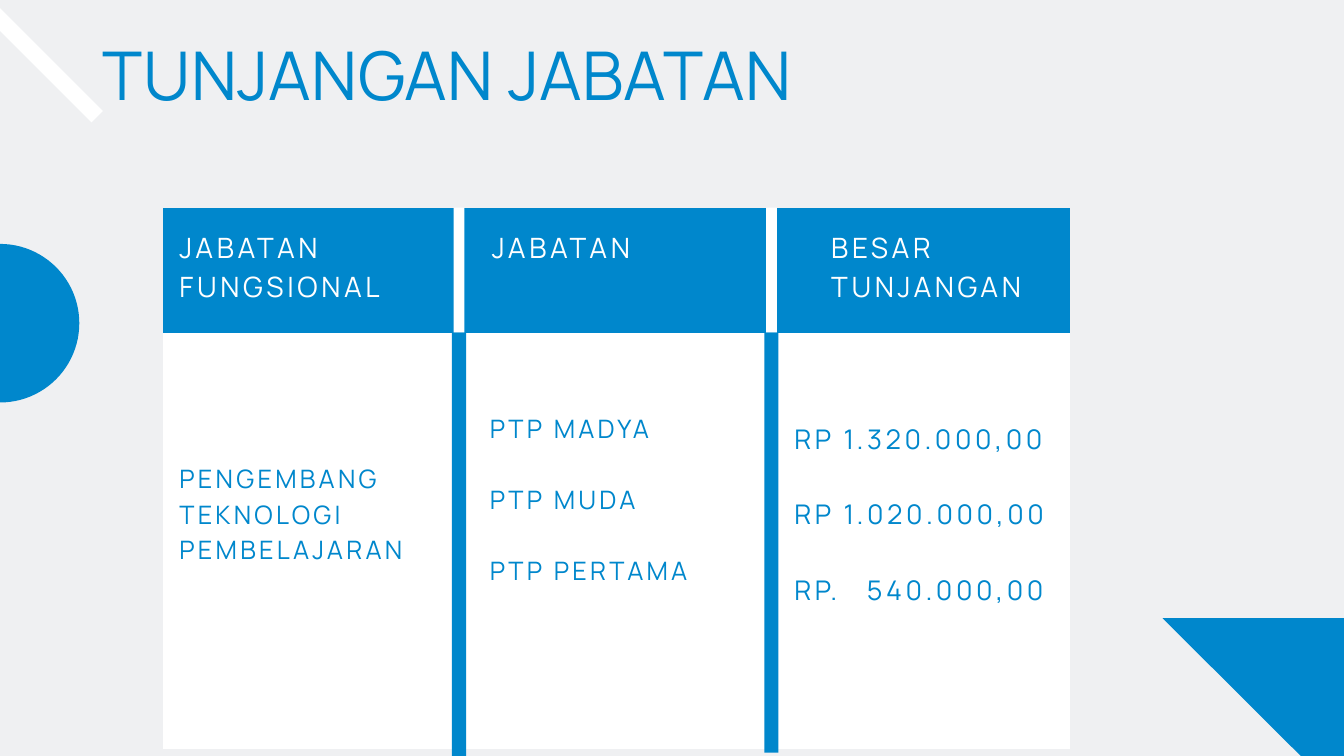
from lxml import etree
from pptx import Presentation
from pptx.dml.color import RGBColor
from pptx.enum.shapes import MSO_SHAPE
from pptx.enum.text import MSO_ANCHOR
from pptx.oxml.ns import qn
from pptx.util import Inches, Pt

RECTANGLE, OVAL = MSO_SHAPE.RECTANGLE, MSO_SHAPE.OVAL
TOP = MSO_ANCHOR.TOP

BLUE = RGBColor(0x00, 0x87, 0xCC)
WHITE = RGBColor(0xFF, 0xFF, 0xFF)
PALE_GREY = RGBColor(0xEF, 0xF0, 0xF2)
FONT = "Manrope"
PLAIN_TABLE_STYLE = "{2D5ABB26-0587-4C30-8999-92F81FD0307C}"

# Text styles: size, line spacing, letter spacing (points)
TITLE_STYLE = (72, 79.2, 0.7)
HEADER_STYLE = (30, 42, 3.9)
POSITION_STYLE = (27.2, 38, 3.5)
AMOUNT_STYLE = (29, 40.6, 3.8)

# Columns: width, then (lines, left margin, top margin, style, gap) for each row
COLUMNS = [
    (4.4,
     (["JABATAN", "FUNGSIONAL"], 0.24, 0.3, HEADER_STYLE, 0),
     (["PENGEMBANG", "TEKNOLOGI", "PEMBELAJARAN"], 0.24, 1.91, POSITION_STYLE, 0)),
    (4.65,
     (["JABATAN"], 0.49, 0.3, HEADER_STYLE, 0),
     (["PTP MADYA", "PTP MUDA", "PTP PERTAMA"], 0.46, 1.16, POSITION_STYLE, 38)),
    (4.44,
     (["BESAR", "TUNJANGAN"], 0.89, 0.3, HEADER_STYLE, 0),
     (["RP 1.320.000,00", "RP 1.020.000,00", "RP.\t540.000,00"],
      0.34, 1.29, AMOUNT_STYLE, 40.6)),
]
AMOUNT_TAB = 1.08
HEADER_HEIGHT, BODY_HEIGHT = 1.86, 6.19
HEADER_DIVIDER, BODY_DIVIDER = 0.16, 0.21
BODY_DIVIDER_HEIGHT = 6.3


def paint(shape, color):
    shape.shadow.inherit = False
    shape.fill.solid()
    shape.fill.fore_color.rgb = color
    shape.line.fill.background()


def add_block(slide, kind, left, top, width, height, color):
    block = slide.shapes.add_shape(
        kind, Inches(left), Inches(top), Inches(width), Inches(height))
    paint(block, color)
    return block


def add_tab_stop(paragraph, position):
    tabs = etree.Element(qn("a:tabLst"))
    etree.SubElement(tabs, qn("a:tab"), pos=str(Inches(position)), algn="l")
    paragraph.font._element.addprevious(tabs)


def write_lines(frame, lines, style, color, gap=0):
    """Write one paragraph per line, with a gap in points between them."""
    size, line_spacing, letter_spacing = style
    frame.word_wrap = True
    for index, line in enumerate(lines):
        paragraph = frame.paragraphs[0] if index == 0 else frame.add_paragraph()
        paragraph.text = line
        paragraph.line_spacing = Pt(line_spacing)
        if index and gap:
            paragraph.space_before = Pt(gap)
        paragraph.font.name = FONT
        paragraph.font.size = Pt(size)
        paragraph.font.color.rgb = color
        paragraph.font._element.set("spc", str(round(letter_spacing * 100)))
        if "\t" in line:
            add_tab_stop(paragraph, AMOUNT_TAB)


def add_decorations(slide):
    bar = add_block(slide, RECTANGLE, -0.55, 0.79, 2.34, 0.24, WHITE)
    bar.rotation = 45
    add_block(slide, OVAL, -1.18, 3.63, 2.36, 2.36, BLUE)
    corner = slide.shapes.build_freeform(Inches(17.3), Inches(9.2), scale=1.0)
    corner.add_line_segments(
        [(Inches(20.45), Inches(9.2)), (Inches(20.45), Inches(12.34))], close=True)
    paint(corner.convert_to_shape(), BLUE)


def add_title(slide, left, top, width, height):
    title = slide.shapes.add_textbox(
        Inches(left), Inches(top), Inches(width), Inches(height))
    frame = title.text_frame
    frame.margin_left = frame.margin_top = 0
    frame.margin_right = frame.margin_bottom = 0
    write_lines(frame, ["TUNJANGAN JABATAN"], TITLE_STYLE, BLUE)


def fill_cell(cell, content, text_color, fill_color):
    lines, left_margin, top_margin, style, gap = content
    cell.fill.solid()
    cell.fill.fore_color.rgb = fill_color
    cell.vertical_anchor = TOP
    cell.margin_left, cell.margin_top = Inches(left_margin), Inches(top_margin)
    cell.margin_right = cell.margin_bottom = 0
    write_lines(cell.text_frame, lines, style, text_color, gap)


def add_allowance_table(slide, left, top):
    width = sum(column[0] for column in COLUMNS)
    table = slide.shapes.add_table(
        2, len(COLUMNS), Inches(left), Inches(top), Inches(width),
        Inches(HEADER_HEIGHT + BODY_HEIGHT)).table
    table.first_row = table.horz_banding = False
    table._tbl.tblPr.find(qn("a:tableStyleId")).text = PLAIN_TABLE_STYLE
    table.rows[0].height = Inches(HEADER_HEIGHT)
    table.rows[1].height = Inches(BODY_HEIGHT)

    edge = left
    for index, (column_width, header, body) in enumerate(COLUMNS):
        table.columns[index].width = Inches(column_width)
        fill_cell(table.cell(0, index), header, WHITE, BLUE)
        fill_cell(table.cell(1, index), body, BLUE, WHITE)
        if index:
            add_block(slide, RECTANGLE, edge - HEADER_DIVIDER / 2, top,
                      HEADER_DIVIDER, HEADER_HEIGHT, WHITE)
            # The second divider ends slightly higher than the first.
            add_block(slide, RECTANGLE, edge - BODY_DIVIDER / 2, top + HEADER_HEIGHT,
                      BODY_DIVIDER, BODY_DIVIDER_HEIGHT - 0.05 * (index - 1), BLUE)
        edge += column_width


def main():
    presentation = Presentation()
    presentation.slide_width = Inches(20)
    presentation.slide_height = Inches(11.25)
    slide = presentation.slides.add_slide(presentation.slide_layouts[6])
    slide.background.fill.solid()
    slide.background.fill.fore_color.rgb = PALE_GREY
    add_decorations(slide)
    add_title(slide, 1.53, 0.6, 12.78, 1.13)
    add_allowance_table(slide, 2.43, 3.09)
    presentation.save("out.pptx")


if __name__ == "__main__":
    main()
